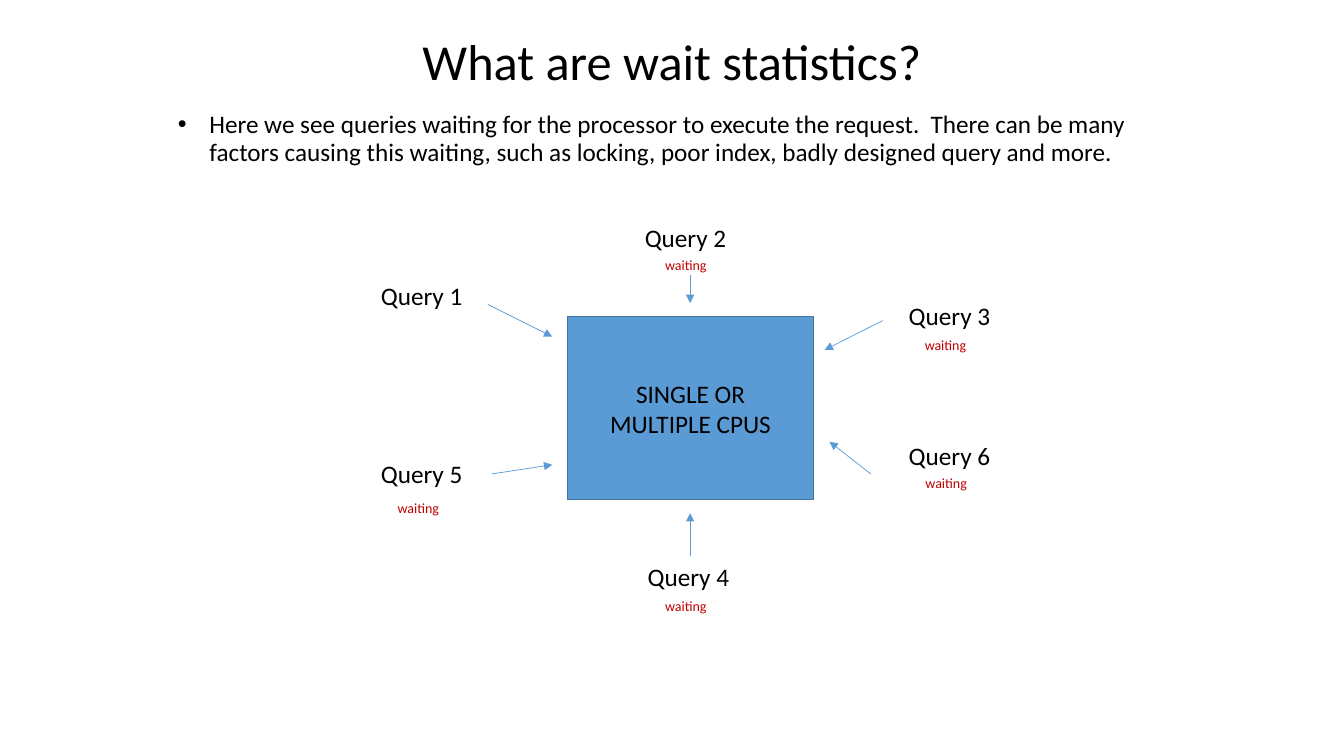
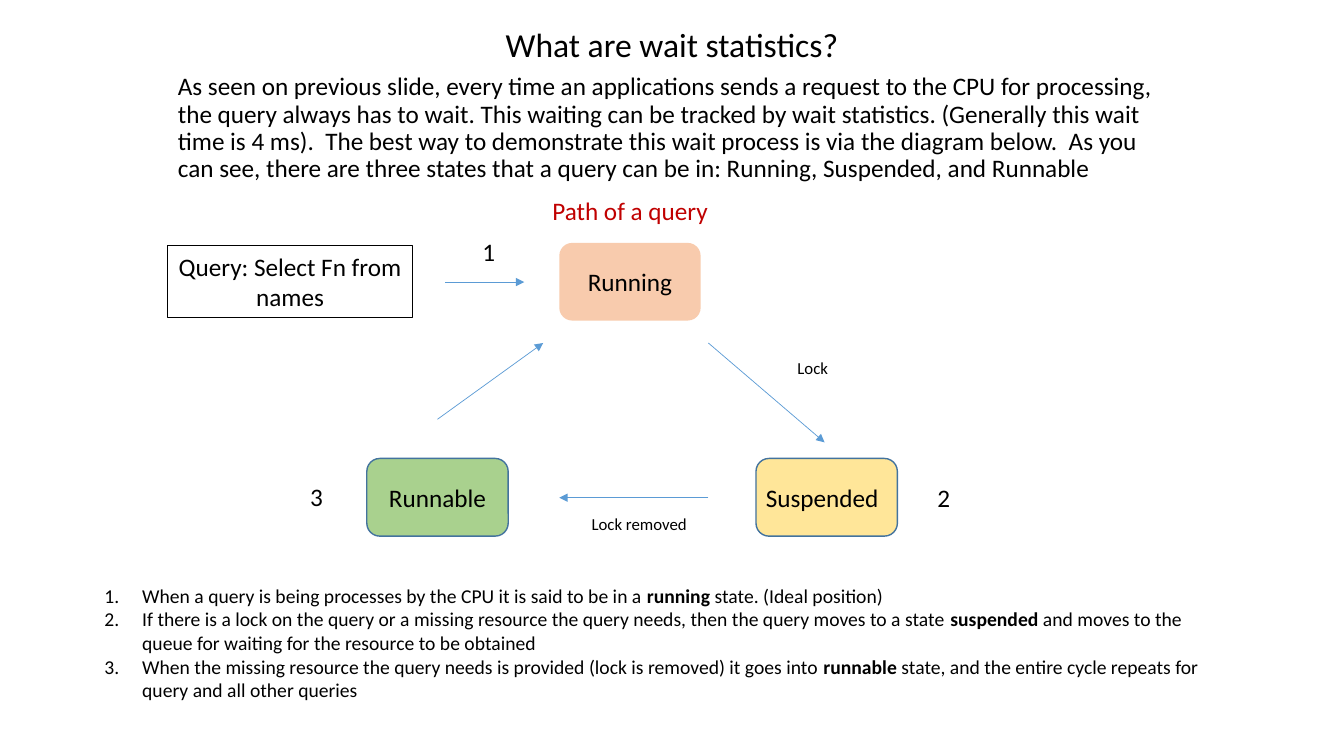
import pptx
import pptx.util
import pptx.dml.color
import pptx.enum.shapes
import pptx.enum.text
import pptx.oxml
import pptx.oxml.ns
from lxml import etree

Pt = pptx.util.Pt
RGBColor = pptx.dml.color.RGBColor
Shape = pptx.enum.shapes.MSO_SHAPE
Align = pptx.enum.text.PP_ALIGN
Anchor = pptx.enum.text.MSO_ANCHOR
qn = pptx.oxml.ns.qn

BLACK = RGBColor(0x00, 0x00, 0x00)
RED = RGBColor(0xC0, 0x00, 0x00)
BLUE = RGBColor(0x5B, 0x9B, 0xD5)
DARK_BLUE = RGBColor(0x43, 0x73, 0x9E)
PEACH = RGBColor(0xF8, 0xCB, 0xAD)
YELLOW = RGBColor(0xFF, 0xE6, 0x99)
GREEN = RGBColor(0xA9, 0xD1, 0x8E)

FONT = "Calibri"
TITLE = "What are wait statistics?"
CONTENT_LEFT, CONTENT_WIDTH = 120, 720
TITLE_ONLY = 5


def format_runs(paragraph, size, color=BLACK):
    for run in paragraph.runs:
        run.font.name = FONT
        run.font.size = Pt(size)
        run.font.color.rgb = color


def add_marker(paragraph, indent, tag, **attributes):
    properties = paragraph._p.get_or_add_pPr()
    properties.set("marL", str(Pt(indent)))
    properties.set("indent", str(-Pt(indent)))
    etree.SubElement(properties, qn(tag), **attributes)


def add_title_slide(presentation, top, height, size):
    slide = presentation.slides.add_slide(presentation.slide_layouts[TITLE_ONLY])
    title = slide.shapes.title
    title.left, title.top = Pt(CONTENT_LEFT), Pt(top)
    title.width, title.height = Pt(CONTENT_WIDTH), Pt(height)
    frame = title.text_frame
    frame.text = TITLE
    frame.auto_size = pptx.enum.text.MSO_AUTO_SIZE.NONE
    frame.vertical_anchor = Anchor.BOTTOM
    paragraph = frame.paragraphs[0]
    paragraph.alignment = Align.CENTER
    paragraph.line_spacing = 0.9
    format_runs(paragraph, size)
    return slide


def add_text(slide, text, left, top, width, height, size=18, color=BLACK):
    box = slide.shapes.add_textbox(Pt(left), Pt(top), Pt(width), Pt(height))
    box.text_frame.word_wrap = True
    box.text_frame.text = text
    format_runs(box.text_frame.paragraphs[0], size, color)
    return box


def add_intro(slide, text, top, height):
    box = add_text(slide, text, CONTENT_LEFT, top, CONTENT_WIDTH, height)
    paragraph = box.text_frame.paragraphs[0]
    paragraph.line_spacing = 0.9
    paragraph.space_before = Pt(10)
    return paragraph


def add_block(slide, kind, text, left, top, width, height,
              fill=None, line=None, line_width=1, insets=(0, 0)):
    block = slide.shapes.add_shape(kind, Pt(left), Pt(top), Pt(width), Pt(height))
    block.shadow.inherit = False
    if fill is None:
        block.fill.background()
    else:
        block.fill.solid()
        block.fill.fore_color.rgb = fill
    if line is None:
        block.line.fill.background()
    else:
        block.line.color.rgb = line
        block.line.width = Pt(line_width)
    frame = block.text_frame
    frame.word_wrap = True
    frame.vertical_anchor = Anchor.MIDDLE
    frame.margin_left, frame.margin_right = Pt(insets[0]), Pt(insets[1])
    frame.text = text
    frame.paragraphs[0].alignment = Align.CENTER
    format_runs(frame.paragraphs[0], 18)


def add_arrow(slide, left, top, start, end):
    arrow = slide.shapes.add_connector(
        pptx.enum.shapes.MSO_CONNECTOR.STRAIGHT,
        Pt(left + start[0]), Pt(top + start[1]), Pt(left + end[0]), Pt(top + end[1]))
    arrow.line.color.rgb = BLUE
    arrow.line.width = Pt(0.5)
    etree.SubElement(arrow.line._get_or_add_ln(), qn("a:tailEnd"), type="triangle")
    etree.SubElement(arrow._element.spPr, qn("a:effectLst"))


def add_queue_diagram(slide, left, top):
    add_block(slide, Shape.RECTANGLE, "SINGLE OR MULTIPLE CPUS", left + 140.5, top + 71,
              175.5, 131, BLUE, DARK_BLUE, insets=(25, 25))
    queries = [
        ("Query 1", (0, 41.5), None, (83.5, 62.5), (129.5, 85.5)),
        ("Query 2", (188.5, 0.5), (14.5, 24), (228, 41.5), (228, 61.5)),
        ("Query 3", (377, 56), (11.5, 26), (365.5, 74), (324, 95)),
        ("Query 4", (190.5, 242.5), (12.5, 26), (228, 242.5), (228, 211.5)),
        ("Query 5", (0, 169), (12, 29), (86.5, 183.5), (129.5, 177)),
        ("Query 6", (377, 156), (12, 24.5), (357, 183.5), (327.5, 160.5)),
    ]
    for name, (x, y), waiting_offset, start, end in queries:
        add_text(slide, name, left + x, top + y, 75.5, 29)
        if waiting_offset:
            add_text(slide, "waiting", left + x + waiting_offset[0],
                     top + y + waiting_offset[1], 50.5, 19.5, 10, RED)
        add_arrow(slide, left, top, start, end)


def add_state_diagram(slide, left, top):
    add_text(slide, "Path of a query", left + 267.5, top, 131, 29, 18, RED)
    add_block(slide, Shape.RECTANGLE, "Query: Select Fn from names", left, top + 39.5,
              174.5, 51, line=BLACK, line_width=0.75, insets=(7.2, 7.2))
    states = [
        ("Running", 279.5, 37.5, PEACH, None, 0),
        ("Suspended", 420, 191.5, YELLOW, DARK_BLUE, 6.5),
        ("Runnable", 142, 191.5, GREEN, DARK_BLUE, 0),
    ]
    for name, x, y, fill, line, right_inset in states:
        add_block(slide, Shape.ROUNDED_RECTANGLE, name, left + x, top + y,
                  101, 55.5, fill, line, insets=(0, right_inset))
    arrows = [
        ((198, 65.5), (254.5, 65.5)),
        ((386, 109), (469, 180)),
        ((386, 219.5), (279.5, 219.5)),
        ((192.5, 163.5), (268, 109)),
    ]
    for start, end in arrows:
        add_arrow(slide, left, top, start, end)
    labels = [
        ("1", 217.5, 29.5, 24.5, 29, 18),
        ("2", 542.5, 205, 24.5, 29, 18),
        ("3", 94.5, 204.5, 24.5, 29, 18),
        ("Lock", 442.5, 116, 50, 22, 12),
        ("Lock removed", 295.5, 227.5, 88, 22, 12),
    ]
    for text, x, y, width, height, size in labels:
        add_text(slide, text, left + x, top + y, width, height, size)


def add_steps(slide, left, top, width, height):
    steps = [
        ("When a query is being processes by the CPU it is said to be in a ",
         "running", " state. (Ideal position)"),
        ("If there is a lock on the query or a missing resource the query needs, "
         "then the query moves to a state ", "suspended",
         " and moves to the queue for waiting for the resource to be obtained"),
        ("When the missing resource the query needs is provided (lock is removed) it goes into ",
         "runnable", " state, and the entire cycle repeats for query and all other queries"),
    ]
    box = slide.shapes.add_textbox(Pt(left), Pt(top), Pt(width), Pt(height))
    frame = box.text_frame
    frame.word_wrap = True
    for index, (before, state, after) in enumerate(steps):
        paragraph = frame.add_paragraph() if index else frame.paragraphs[0]
        for text in (before, state, after):
            run = paragraph.add_run()
            run.text = text
            run.font.bold = text == state
        format_runs(paragraph, 14)
        add_marker(paragraph, 27, "a:buFont", typeface="+mj-lt")
        add_marker(paragraph, 27, "a:buAutoNum", type="arabicPeriod")


def build_queue_slide(presentation):
    slide = add_title_slide(presentation, 19.5, 49.5, 36)
    paragraph = add_intro(
        slide,
        "Here we see queries waiting for the processor to execute the request.  There can be "
        "many factors causing this waiting, such as locking, poor index, badly designed query "
        "and more.", 76.5, 60)
    add_marker(paragraph, 22.5, "a:buFont", typeface="Arial")
    add_marker(paragraph, 22.5, "a:buChar", char="•")
    add_queue_diagram(slide, 265, 155)


def build_state_slide(presentation):
    slide = add_title_slide(presentation, 14.5, 35.5, 24)
    add_intro(
        slide,
        "As seen on previous slide, every time an applications sends a request to the CPU for "
        "processing, the query always has to wait. This waiting can be tracked by wait "
        "statistics. (Generally this wait time is 4 ms).  The best way to demonstrate this wait "
        "process is via the diagram below.  As you can see, there are three states that a query "
        "can be in: Running, Suspended, and Runnable", 49.5, 88.5)
    add_state_diagram(slide, CONTENT_LEFT, 136)
    add_steps(slide, 67.5, 413.5, 806.5, 92)


def main():
    presentation = pptx.Presentation()
    presentation.slide_width = Pt(960)
    presentation.slide_height = Pt(540)
    build_queue_slide(presentation)
    build_state_slide(presentation)
    presentation.save("out.pptx")


if __name__ == "__main__":
    main()
